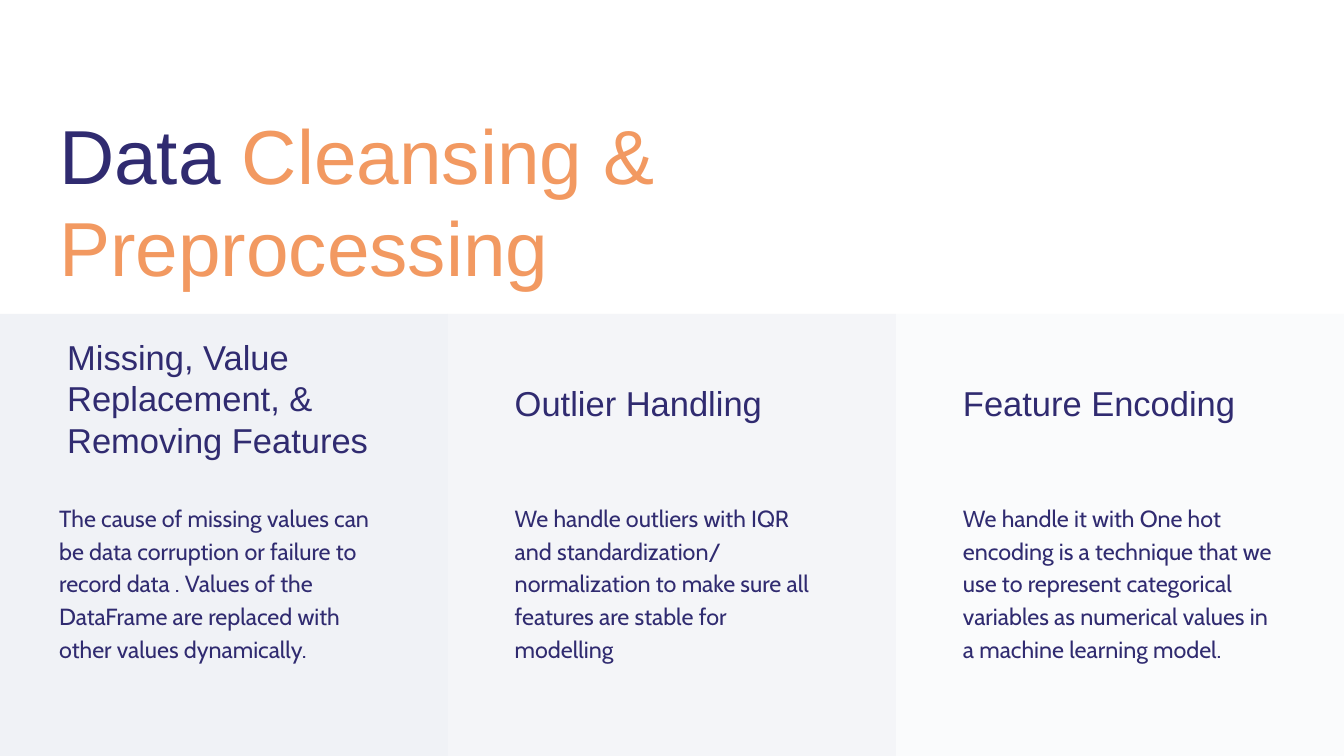
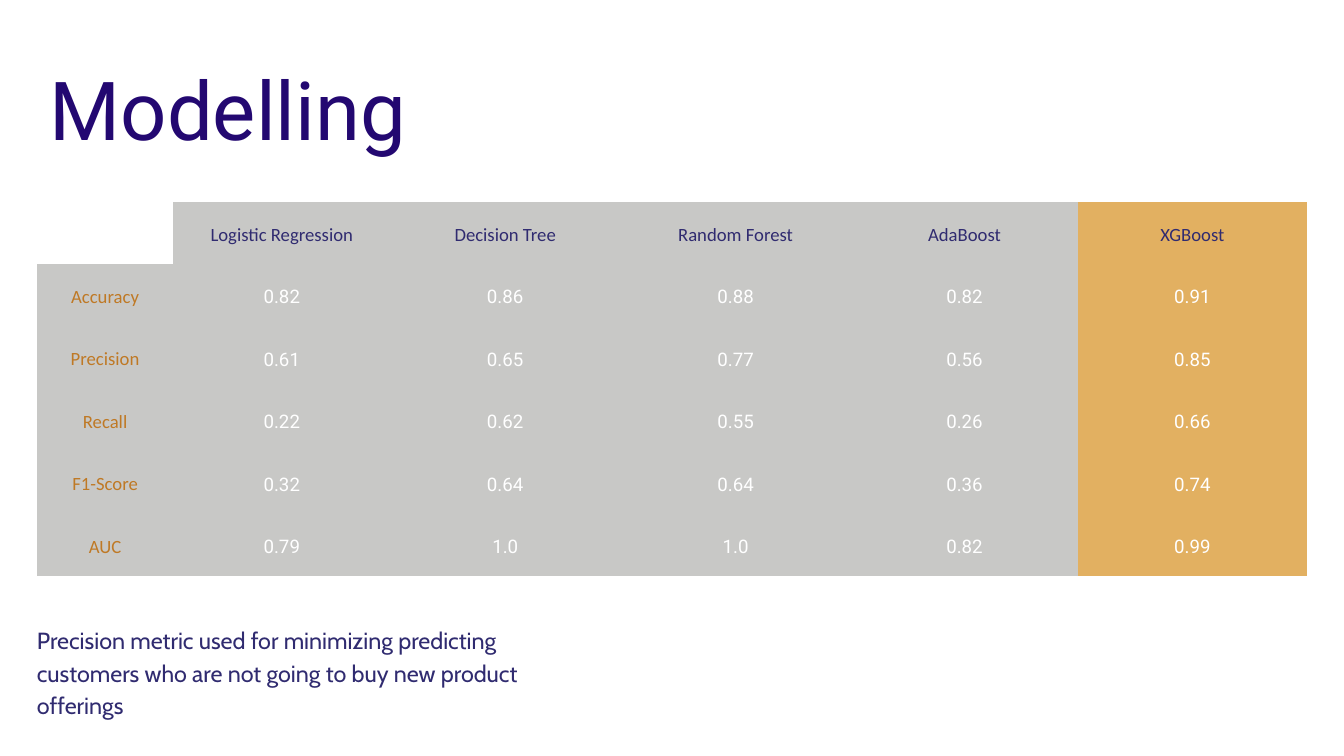
from lxml.etree import SubElement
from pptx import Presentation
from pptx.dml.color import RGBColor
from pptx.enum.shapes import MSO_SHAPE
from pptx.enum.text import MSO_ANCHOR, MSO_AUTO_SIZE, PP_ALIGN
from pptx.oxml.ns import qn
from pptx.util import Pt

NAVY = RGBColor(0x30, 0x2B, 0x70)
INDIGO = RGBColor(0x23, 0x08, 0x71)
ORANGE = RGBColor(0xF2, 0x99, 0x61)
BROWN = RGBColor(0xBF, 0x79, 0x25)
GOLD = RGBColor(0xE2, 0xB0, 0x61)
GREY = RGBColor(0xC8, 0xC8, 0xC6)
MIST = RGBColor(0xF0, 0xF2, 0xF6)
WHITE = RGBColor(0xFF, 0xFF, 0xFF)

HEADING = {"name": "Arial", "size": Pt(37)}
BODY = {"name": "Cabin", "size": Pt(25)}
LABEL = {"name": "Calibri", "size": Pt(20)}
SCORE = {"name": "Roboto", "size": Pt(20)}
NO_STYLE_NO_GRID = "{2D5ABB26-0587-4C30-8999-92F81FD0307C}"


def write_paragraph(frame, parts, font_format, line_spacing, alignment=PP_ALIGN.LEFT):
    paragraph = frame.paragraphs[0]
    paragraph.alignment = alignment
    paragraph.line_spacing = Pt(line_spacing)
    paragraph.space_before = Pt(0)
    for text, color in parts:
        run = paragraph.add_run()
        run.text = text
        for attribute, value in font_format.items():
            setattr(run.font, attribute, value)
        run.font.color.rgb = color


def place_text(shape, box, parts, font_format, line_spacing):
    shape.left, shape.top, shape.width, shape.height = [Pt(value) for value in box]
    frame = shape.text_frame
    frame_format = {"margin_left": 0, "margin_top": 0, "margin_right": 0, "margin_bottom": 0,
                    "word_wrap": True, "auto_size": MSO_AUTO_SIZE.NONE,
                    "vertical_anchor": MSO_ANCHOR.TOP}
    for attribute, value in frame_format.items():
        setattr(frame, attribute, value)
    write_paragraph(frame, parts, font_format, line_spacing)


presentation = Presentation()
presentation.slide_width = Pt(1440)
presentation.slide_height = Pt(810)
title_only = presentation.slide_layouts[5]

slide = presentation.slides.add_slide(title_only)
place_text(slide.shapes.title, (63.36, 116, 638.64, 197),
           [("Data ", NAVY), ("Cleansing & Preprocessing", ORANGE)],
           {"name": "Arial", "size": Pt(82)}, 98.4)

BAND_WIDTH = 480
steps = [
    (100, (72, 360, 368, 132.5), "Missing, Value Replacement, & Removing Features",
     (63.36, 535, 337, 209),
     "The cause of missing values can be data corruption or failure to record data . "
     "Values of the DataFrame are replaced with other values dynamically."),
    (70, (551.5, 409, 337, 44), "Outlier Handling",
     (551.5, 535, 337, 173.5),
     "We handle outliers with IQR and standardization/ normalization to make sure all "
     "features are stable for modelling"),
    (30, (1031.75, 409, 337, 44), "Feature Encoding",
     (1031.75, 535, 337, 243),
     "We handle it with One hot encoding is a technique that we use to represent "
     "categorical variables as numerical values in a machine learning model."),
]
for index, (opacity, heading_box, heading, body_box, body) in enumerate(steps):
    band = slide.shapes.add_shape(MSO_SHAPE.RECTANGLE, Pt(index * BAND_WIDTH), Pt(336.25),
                                  Pt(BAND_WIDTH), Pt(473.75))
    band.shadow.inherit = False
    band.line.fill.background()
    band.fill.solid()
    band.fill.fore_color.rgb = MIST
    if opacity < 100:
        color_element = band.fill._xPr.find(qn("a:solidFill"))[0]
        SubElement(color_element, qn("a:alpha"), val=str(opacity * 1000))
    for box, text, font_format, line_spacing in (
        (heading_box, heading, HEADING, 44.4),
        (body_box, body, BODY, 35),
    ):
        place_text(slide.shapes.add_textbox(0, 0, 0, 0), box, [(text, NAVY)],
                   font_format, line_spacing)

slide = presentation.slides.add_slide(title_only)
place_text(slide.shapes.title, (53.25, 46, 458.75, 117.25), [("Modelling", INDIGO)],
           {"name": "Roboto", "size": Pt(87.2)}, 122.1)

scores = [
    ("", "Logistic Regression", "Decision Tree", "Random Forest", "AdaBoost", "XGBoost"),
    ("Accuracy", "0.82", "0.86", "0.88", "0.82", "0.91"),
    ("Precision", "0.61", "0.65", "0.77", "0.56", "0.85"),
    ("Recall", "0.22", "0.62", "0.55", "0.26", "0.66"),
    ("F1-Score", "0.32", "0.64", "0.64", "0.36", "0.74"),
    ("AUC", "0.79", "1.0", "1.0", "0.82", "0.99"),
]
column_widths = [146, 232.75, 246, 247.75, 242.75, 245.5]
table = slide.shapes.add_table(len(scores), len(column_widths), Pt(39.6), Pt(216.75),
                               Pt(sum(column_widths)), Pt(401)).table
table._tbl.tblPr.find(qn("a:tableStyleId")).text = NO_STYLE_NO_GRID
table.first_row = table.horz_banding = False
for column, width in zip(table.columns, column_widths):
    column.width = Pt(width)
cell_format = {"margin_left": Pt(15), "margin_top": Pt(15), "margin_right": Pt(15),
               "margin_bottom": Pt(15), "vertical_anchor": MSO_ANCHOR.MIDDLE}
for row_index, row in enumerate(scores):
    table.rows[row_index].height = Pt(66 if row_index == 0 else 67)
    for column_index, text in enumerate(row):
        cell = table.cell(row_index, column_index)
        for attribute, value in cell_format.items():
            setattr(cell, attribute, value)
        if not text:
            cell.fill.background()
            continue
        cell.fill.solid()
        cell.fill.fore_color.rgb = GOLD if column_index == len(row) - 1 else GREY
        if row_index == 0:
            font_format, color = LABEL, NAVY
        elif column_index == 0:
            font_format, color = LABEL, BROWN
        else:
            font_format, color = SCORE, WHITE
        write_paragraph(cell.text_frame, [(text, color)], font_format, 28, PP_ALIGN.CENTER)

place_text(slide.shapes.add_textbox(0, 0, 0, 0), (39.6, 666, 576, 104.5),
           [("Precision metric used for minimizing predicting customers who are not going "
             "to buy new product offerings", NAVY)], BODY, 35)

presentation.save("out.pptx")
